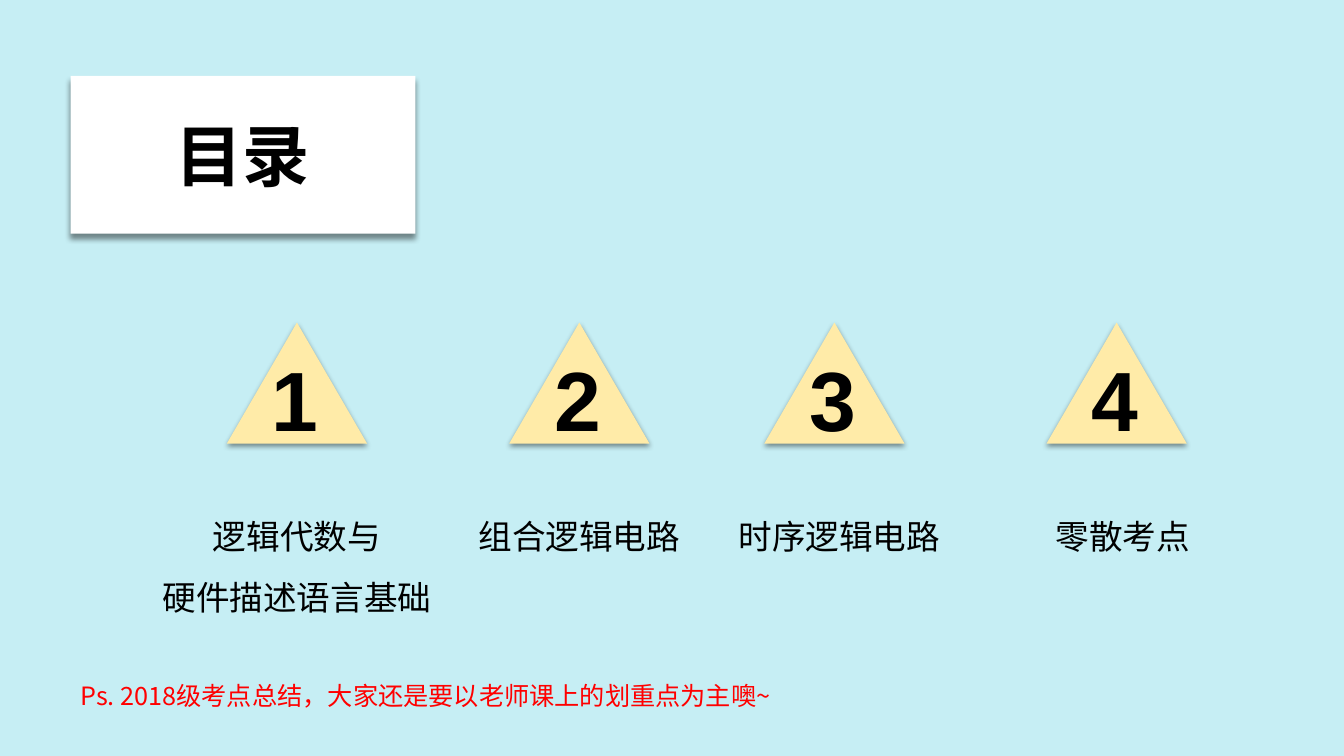
import pptx
import pptx.util
import pptx.dml.color
import pptx.enum.shapes
import pptx.enum.text
import pptx.oxml.ns
import lxml.etree

COLORS = {"background": "C6EEF4", "white": "FFFFFF", "triangle": "FFEBA8",
          "text": "000000", "note": "FF0000"}
HEADING_FONT = "Arial"
BODY_FONT = "Noto Sans CJK JP"
CENTER = pptx.enum.text.PP_ALIGN.CENTER
LEFT = pptx.enum.text.PP_ALIGN.LEFT
SLIDE_W = pptx.util.Inches(13.33)
SLIDE_H = pptx.util.Inches(7.5)

# Number, centre of triangle, centre of label, label width, label lines
# (positions in percent of the slide width)
CHAPTERS = [
    ("1", 22.09, 22.09, 23.18, ["逻辑代数与", "硬件描述语言基础"]),
    ("2", 43.1, 43.1, 17.63, ["组合逻辑电路"]),
    ("3", 62.08, 62.45, 17.63, ["时序逻辑电路"]),
    ("4", 83.08, 83.53, 17.63, ["零散考点"]),
]


def box(left, top, width, height):
    """Turn percentages of the slide into lengths."""
    return (int(SLIDE_W * left / 100), int(SLIDE_H * top / 100),
            int(SLIDE_W * width / 100), int(SLIDE_H * height / 100))


def rgb(name):
    return pptx.dml.color.RGBColor.from_string(COLORS[name])


def paint(s, color, distance, angle):
    """Flat fill, no outline, soft black shadow."""
    s.fill.solid()
    s.fill.fore_color.rgb = rgb(color)
    s.line.fill.background()
    s.shadow.inherit = False
    qn = pptx.oxml.ns.qn
    effects = s._element.spPr.find(qn("a:effectLst"))
    shadow = lxml.etree.SubElement(
        effects, qn("a:outerShdw"), blurRad=str(pptx.util.Pt(4)),
        dist=str(pptx.util.Pt(distance)), dir=str(angle * 60000),
        algn="t", rotWithShape="0")
    black = lxml.etree.SubElement(shadow, qn("a:srgbClr"), val="000000")
    lxml.etree.SubElement(black, qn("a:alpha"), val="43000")


def write(s, lines, size, font, color="text", bold=False, align=CENTER,
          spacing=1.0, wrap=True):
    tf = s.text_frame
    tf.word_wrap = wrap
    tf.auto_size = pptx.enum.text.MSO_AUTO_SIZE.SHAPE_TO_FIT_TEXT
    for i, line in enumerate(lines):
        p = tf.add_paragraph() if i else tf.paragraphs[0]
        p.alignment = align
        p.line_spacing = spacing
        r = p.add_run()
        r.text = line
        r.font.size = pptx.util.Pt(size)
        r.font.bold = bold
        r.font.name = font
        r.font.color.rgb = rgb(color)
        if font == BODY_FONT:
            lxml.etree.SubElement(r.font._element,
                                  pptx.oxml.ns.qn("a:ea"), typeface=font)


def add_title(slide, text):
    title = slide.shapes.title
    title.left, title.top, title.width, title.height = box(5.25, 14.4, 25.66, 12.13)
    paint(title, "white", 4, 100)
    write(title, [text], 48, HEADING_FONT, bold=True)


def add_text(shapes, place, lines, size, font, **style):
    tb = shapes.add_textbox(*box(*place))
    write(tb, lines, size, font, **style)


def add_badge(slide, number, center):
    """Triangle and its number, grouped."""
    group = slide.shapes.add_group_shape()
    triangle = group.shapes.add_shape(
        pptx.enum.shapes.MSO_SHAPE.ISOSCELES_TRIANGLE,
        *box(center - 5.21, 42.67, 10.43, 16))
    paint(triangle, "triangle", 2, 90)
    add_text(group.shapes, (center - 2.8, 45.33, 5.33, 14.8), [number], 60,
             HEADING_FONT, bold=True, wrap=False)


def main():
    prs = pptx.Presentation()
    prs.slide_width, prs.slide_height = SLIDE_W, SLIDE_H
    slide = prs.slides.add_slide(prs.slide_layouts.get_by_name("Title Only"))
    slide.background.fill.solid()
    slide.background.fill.fore_color.rgb = rgb("background")

    # Heading
    add_title(slide, "目录")

    # Chapters
    for number, center, label_center, width, lines in CHAPTERS:
        add_badge(slide, number, center)
        add_text(slide.shapes,
                 (label_center - width / 2, 64.93, width, 8.33 * len(lines)),
                 lines, 24, BODY_FONT, spacing=1.5)

    # Closing note
    add_text(slide.shapes, (5.25, 89.33, 53.11, 5.33),
             ["Ps. 2018级考点总结，大家还是要以老师课上的划重点为主噢~"],
             18, BODY_FONT, color="note", align=LEFT)

    prs.save("out.pptx")


if __name__ == "__main__":
    main()
